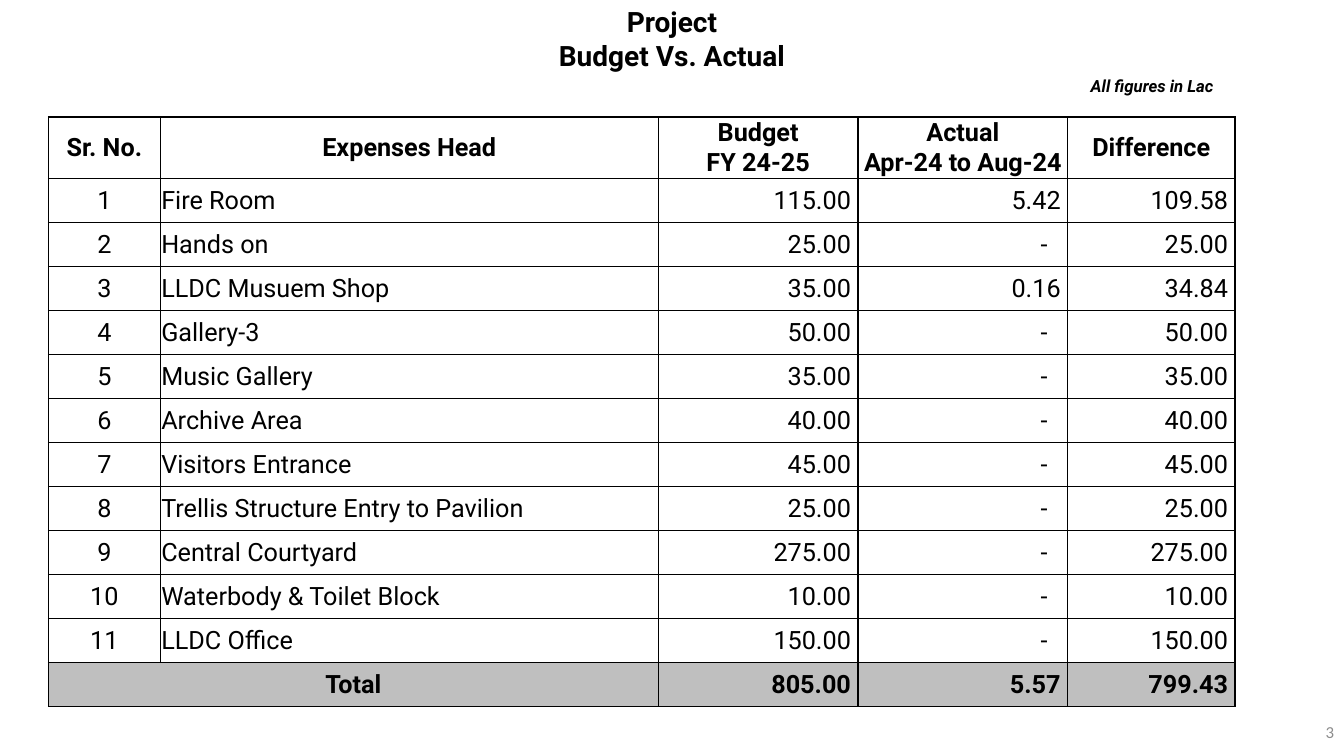
from lxml import etree
from pptx import Presentation
from pptx.dml.color import RGBColor
from pptx.enum.text import MSO_ANCHOR, PP_ALIGN
from pptx.oxml.ns import qn
from pptx.util import Inches, Pt

COLORS = {"text": "000000", "border": "000000", "total": "BFBFBF", "number": "8C8C8C"}
TITLE = ["Project", "Budget Vs. Actual"]
UNIT_NOTE = "All figures in Lac"
SLIDE_NUMBER = "3"
HEADERS = ["Sr. No.", "Expenses Head", "Budget\nFY 24-25",
           "Actual\nApr-24 to Aug-24", "Difference"]
EXPENSES = [  # head, budget, actual
    ("Fire Room", 115, 5.42),
    ("Hands on", 25, 0),
    ("LLDC Musuem Shop", 35, 0.16),
    ("Gallery-3", 50, 0),
    ("Music Gallery", 35, 0),
    ("Archive Area", 40, 0),
    ("Visitors Entrance", 45, 0),
    ("Trellis Structure Entry to Pavilion", 25, 0),
    ("Central Courtyard", 275, 0),
    ("Waterbody & Toilet Block", 10, 0),
    ("LLDC Office", 150, 0),
]
TOTAL = (805, 5.57)
COLUMN_WIDTHS = [1.11, 4.94, 1.98, 2.08, 1.66]
HEADER_HEIGHT, ROW_HEIGHT = 0.61, 0.437
CENTER, LEFT, RIGHT = PP_ALIGN.CENTER, PP_ALIGN.LEFT, PP_ALIGN.RIGHT
ALIGNMENTS = [CENTER, LEFT, RIGHT, RIGHT, RIGHT]


def write(frame, content, size, align, bold=False, italic=False,
          font="Roboto", color="text"):
    frame.text = content
    for paragraph in frame.paragraphs:
        paragraph.alignment = align
        paragraph.font.name = font
        paragraph.font.size = Pt(size)
        paragraph.font.bold = bold
        paragraph.font.italic = italic
        paragraph.font.color.rgb = RGBColor.from_string(COLORS[color])


def add_text(slide, box, content, size, align, wrap=True, anchor=MSO_ANCHOR.TOP, **style):
    frame = slide.shapes.add_textbox(*map(Inches, box)).text_frame
    frame.word_wrap = wrap
    frame.vertical_anchor = anchor
    write(frame, content, size, align, **style)


def add_borders(cell):
    properties = cell._tc.get_or_add_tcPr()
    for side in ("a:lnL", "a:lnR", "a:lnT", "a:lnB"):
        line = etree.SubElement(properties, qn(side), w=str(Pt(1)))
        fill = etree.SubElement(line, qn("a:solidFill"))
        etree.SubElement(fill, qn("a:srgbClr"), val=COLORS["border"])


def amounts(budget, actual):
    """Budget, actual and their difference as shown; zero is a dash."""
    return [f"{value:.2f}" if value else "-" for value in (budget, actual, budget - actual)]


def add_budget_table(slide):
    rows = [HEADERS]
    rows += [[str(number), head, *amounts(budget, actual)]
             for number, (head, budget, actual) in enumerate(EXPENSES, 1)]
    rows.append(["Total", "", *amounts(*TOTAL)])
    last = len(rows) - 1
    table = slide.shapes.add_table(
        len(rows), len(HEADERS), Inches(0.48), Inches(1.16),
        Inches(sum(COLUMN_WIDTHS)), Inches(HEADER_HEIGHT + last * ROW_HEIGHT)).table
    table.first_row = table.horz_banding = False
    for column, width in zip(table.columns, COLUMN_WIDTHS):
        column.width = Inches(width)

    for r, values in enumerate(rows):
        table.rows[r].height = Inches(ROW_HEIGHT if r else HEADER_HEIGHT)
        for c, value in enumerate(values):
            cell = table.cell(r, c)
            align = ALIGNMENTS[c] if r else CENTER
            cell.vertical_anchor = MSO_ANCHOR.MIDDLE
            cell.margin_left = cell.margin_top = cell.margin_right = Inches(0.01)
            cell.margin_bottom = 0
            if align == RIGHT:
                cell.margin_right = Inches(0.2 if value == "-" else 0.07)
            add_borders(cell)
            if r == last:
                cell.fill.solid()
                cell.fill.fore_color.rgb = RGBColor.from_string(COLORS["total"])
            else:
                cell.fill.background()
            write(cell.text_frame, value, 18, align, bold=r in (0, last))
    table.cell(last, 0).merge(table.cell(last, 1))


def main():
    presentation = Presentation()
    presentation.slide_width, presentation.slide_height = Inches(13.33), Inches(7.5)
    slide = presentation.slides.add_slide(presentation.slide_layouts[6])
    add_text(slide, (10.33, 7.06, 3, 0.4), SLIDE_NUMBER, 12, RIGHT,
             anchor=MSO_ANCHOR.MIDDLE, font="Calibri", color="number")
    add_text(slide, (0, 0, 13.33, 0.77), "\n".join(TITLE), 20, CENTER, bold=True)
    add_text(slide, (10.72, 0.7, 1.54, 0.3), UNIT_NOTE, 12, LEFT,
             wrap=False, bold=True, italic=True)
    add_budget_table(slide)
    presentation.save("out.pptx")


if __name__ == "__main__":
    main()
